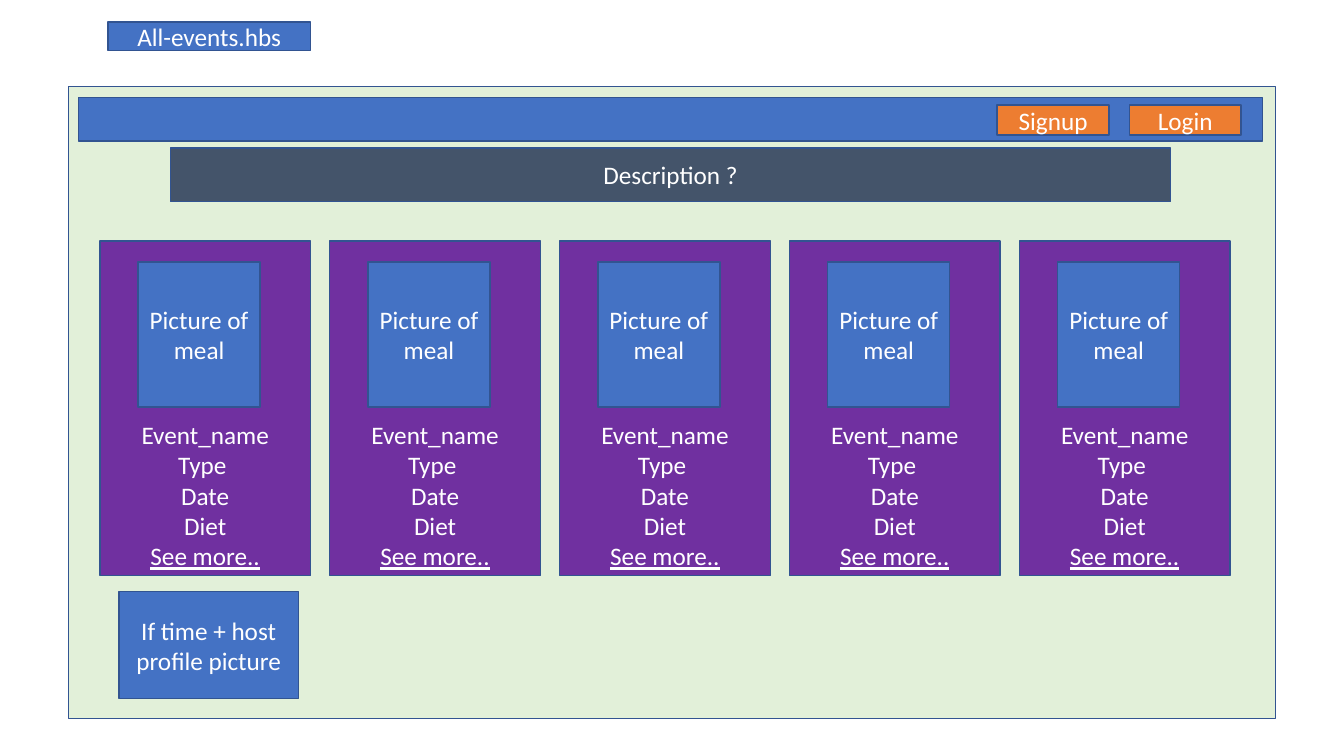
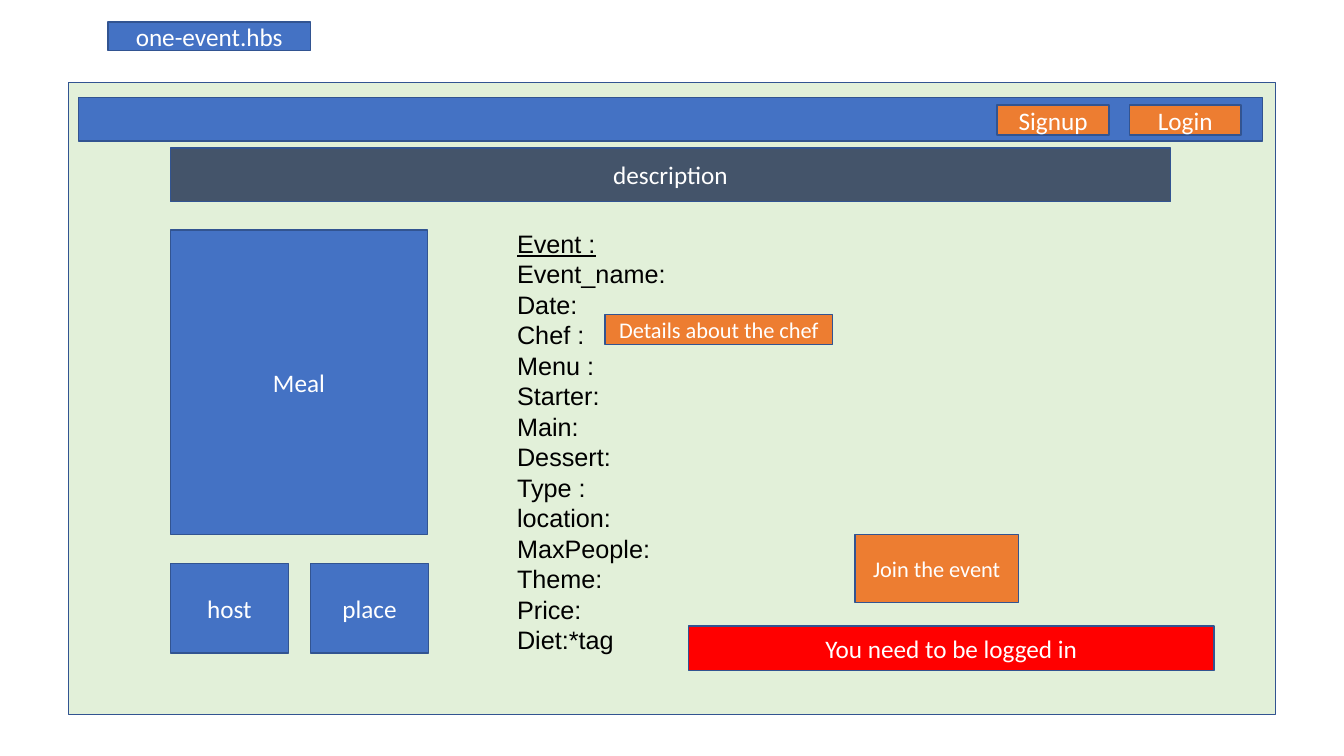
from pptx import Presentation
from pptx.dml.color import RGBColor
from pptx.enum.shapes import MSO_SHAPE
from pptx.enum.text import MSO_ANCHOR, MSO_AUTO_SIZE, PP_ALIGN
from pptx.util import Inches, Pt

RECT = MSO_SHAPE.RECTANGLE
CENTER, LEFT = PP_ALIGN.CENTER, PP_ALIGN.LEFT
MIDDLE, BOTTOM, TOP = MSO_ANCHOR.MIDDLE, MSO_ANCHOR.BOTTOM, MSO_ANCHOR.TOP
NO_FIT = MSO_AUTO_SIZE.NONE
TITLE_ONLY = 5

BLUE, ORANGE, PURPLE, RED = "4472C4", "ED7D31", "7030A0", "FF0000"
SLATE, GREEN, OUTLINE = "44546A", "E2F0D9", "325491"
WHITE, BLACK = "FFFFFF", "000000"

CARD_LINES = ["Event_name", "Type ", "Date", "Diet", "See more.."]
EVENT_FIELDS = ["Event :", "Event_name:", "Date:", "Chef :", "Menu :",
                "Starter:", "Main:", "Dessert:", "Type :", "location:",
                "MaxPeople:", "Theme:", "Price:", "Diet:*tag"]


def rgb(value):
    """Turn a hex string into a colour."""
    return RGBColor.from_string(value)


def write(shape, lines, size=18, font="Calibri", color=WHITE, align=CENTER,
          anchor=MIDDLE, underlined=None, pitch=None):
    """Write one paragraph per line; underline the line that is named."""
    tf = shape.text_frame
    tf.word_wrap = True
    tf.auto_size = NO_FIT
    tf.vertical_anchor = anchor
    for i, line in enumerate(lines):
        p = tf.paragraphs[0] if i == 0 else tf.add_paragraph()
        p.alignment = align
        if pitch:
            p.line_spacing = Pt(pitch)
        r = p.add_run()
        r.text = line
        r.font.size = Pt(size)
        r.font.name = font
        r.font.color.rgb = rgb(color)
        if line == underlined:
            r.font.underline = True
    return tf


class Wireframe:
    """Holds the presentation, the current slide and the shared style."""

    def __init__(self):
        """Start a widescreen presentation."""
        self.prs = Presentation()
        self.prs.slide_width = Inches(13.33)
        self.prs.slide_height = Inches(7.5)

    def paint(self, shape, fill):
        """Apply a fill and the shared outline."""
        shape.fill.solid()
        shape.fill.fore_color.rgb = rgb(fill)
        shape.line.color.rgb = rgb(OUTLINE)
        shape.line.width = Pt(1)

    def page(self, title, description, panel_top):
        """Add a slide with file name, panel, navigation and description."""
        self.s = self.prs.slides.add_slide(
            self.prs.slide_layouts[TITLE_ONLY])
        self.title(title)
        self.box(0.68, panel_top, 11.97, 6.27, GREEN)
        self.box(0.78, 0.97, 11.74, 0.43)
        for i, label in enumerate(["Signup", "Login"]):
            self.box(9.89 + i * 1.31, 1.04, 1.11, 0.3, ORANGE, [label])
        self.box(1.69, 1.47, 9.92, 0.53, SLATE, [description])

    def title(self, text):
        """Turn the title placeholder into the file name label."""
        sp = self.s.shapes.title
        sp.left, sp.top = Inches(1.07), Inches(0.22)
        sp.width, sp.height = Inches(2.01), Inches(0.28)
        self.paint(sp, BLUE)
        write(sp, [text])

    def box(self, x, y, w, h, fill=BLUE, lines=(), parent=None, **fmt):
        """Add a rectangle, with text if given, to the slide or a group."""
        shapes = (parent or self.s).shapes
        sp = shapes.add_shape(RECT, Inches(x), Inches(y),
                              Inches(w), Inches(h))
        sp.shadow.inherit = False
        self.paint(sp, fill)
        if lines:
            write(sp, lines, **fmt)

    def card(self, x, y):
        """Add an event card with its picture area as a group."""
        group = self.s.shapes.add_group_shape()
        self.box(x, y, 2.09, 3.32, PURPLE, CARD_LINES, group,
                 anchor=BOTTOM, underlined="See more..")
        self.box(x + 0.38, y + 0.21, 1.21, 1.44, BLUE,
                 ["Picture of meal"], group)

    def text(self, x, y, w, h, lines, top_inset, **fmt):
        """Add a text box of left-aligned lines."""
        sp = self.s.shapes.add_textbox(Inches(x), Inches(y),
                                       Inches(w), Inches(h))
        tf = write(sp, lines, align=LEFT, anchor=TOP, **fmt)
        tf.margin_top = Inches(top_inset)


def all_events(w):
    """Build the page that lists the events."""
    w.page("All-events.hbs", "Description ?", 0.86)
    for i in range(5):
        w.card(0.99 + i * 2.28, 2.39)
    w.box(1.18, 5.87, 1.78, 1.06, BLUE, ["If time + host profile picture"])


def one_event(w):
    """Build the page of a single event."""
    w.page("one-event.hbs", "description", 0.82)
    w.box(1.69, 2.28, 2.55, 3.02, BLUE, ["Meal"])
    for i, label in enumerate(["host", "place"]):
        w.box(1.69 + i * 1.39, 5.59, 1.17, 0.89, BLUE, [label])
    w.text(5.03, 1.91, 2.19, 4.64, EVENT_FIELDS, 0.35, font="Arial",
           color=BLACK, underlined="Event :", pitch=21.8)
    w.box(6, 3.12, 2.26, 0.3, ORANGE, ["Details about the chef"], size=16)
    w.box(8.48, 5.3, 1.62, 0.68, ORANGE, ["Join the event"], size=16)
    w.box(6.83, 6.21, 5.21, 0.44, RED, ["You need to be logged in"])


wireframe = Wireframe()
all_events(wireframe)
one_event(wireframe)
wireframe.prs.save("out.pptx")
